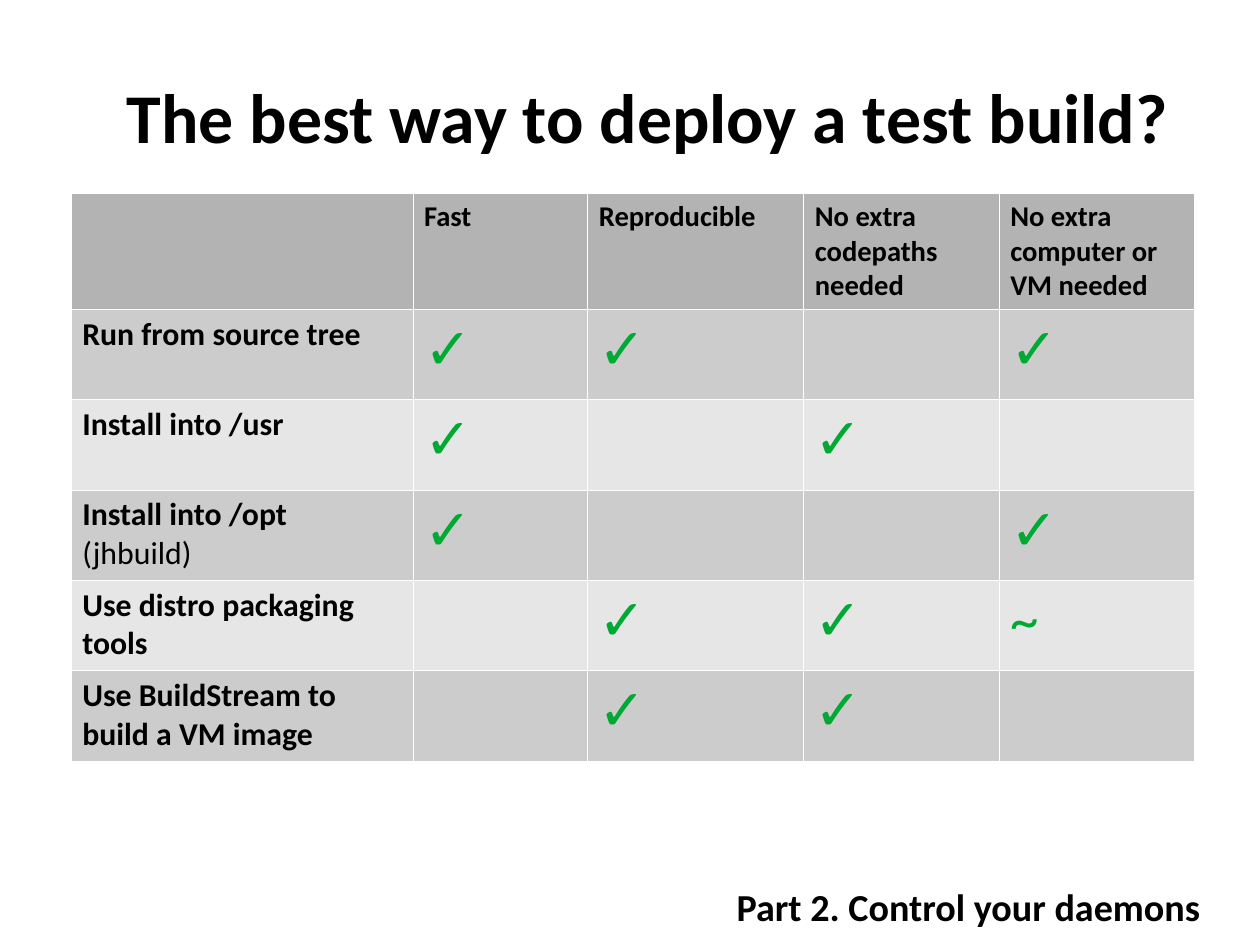
from lxml.etree import SubElement
from pptx import Presentation
from pptx.dml.color import RGBColor
from pptx.enum.text import MSO_ANCHOR, MSO_AUTO_SIZE, PP_ALIGN
from pptx.oxml.ns import qn
from pptx.util import Inches, Pt

BLACK = RGBColor(0x00, 0x00, 0x00)
WHITE = RGBColor(0xFF, 0xFF, 0xFF)
GREEN = RGBColor(0x00, 0xA9, 0x33)
HEADER_GREY = RGBColor(0xB3, 0xB3, 0xB3)
ROW_GREYS = [RGBColor(0xCC, 0xCC, 0xCC), RGBColor(0xE6, 0xE6, 0xE6)]

TITLE = {"size": Pt(44), "bold": True}
HEADING = {"size": Pt(18), "bold": True}
METHOD = {"size": Pt(20), "bold": True}
DETAIL = {"size": Pt(20), "bold": False}
MARK = {"size": Pt(36), "bold": False}
FOOTER = {"size": Pt(24), "bold": True}


def write(paragraph, text, formats, color=BLACK):
    run = paragraph.add_run()
    run.text = text
    run.font.name = "Calibri"
    run.font.color.rgb = color
    for attribute, value in formats.items():
        setattr(run.font, attribute, value)


def paint(cell, color):
    properties = cell._tc.get_or_add_tcPr()
    for side in ("a:lnL", "a:lnR", "a:lnT", "a:lnB"):
        border = SubElement(properties, qn(side), w=str(Pt(0.06)))
        border_fill = SubElement(border, qn("a:solidFill"))
        SubElement(border_fill, qn("a:srgbClr"), val=str(WHITE))
    cell.fill.solid()
    cell.fill.fore_color.rgb = color


presentation = Presentation()
presentation.slide_width = Inches(280 / 25.4)
presentation.slide_height = Inches(210 / 25.4)
presentation.element.sldSz.attrib.pop("type", None)
slide = presentation.slides.add_slide(presentation.slide_layouts[5])

question = slide.shapes.title
question.left, question.top = Inches(0), Inches(0.28)
question.width, question.height = Inches(11.34), Inches(1.47)
question_frame = question.text_frame
question_format = {
    "margin_left": 0, "margin_right": 0, "margin_top": 0, "margin_bottom": 0,
    "vertical_anchor": MSO_ANCHOR.MIDDLE, "auto_size": MSO_AUTO_SIZE.NONE,
    "word_wrap": True,
}
for attribute, value in question_format.items():
    setattr(question_frame, attribute, value)
question_frame.paragraphs[0].alignment = PP_ALIGN.CENTER
write(question_frame.paragraphs[0], "The best way to deploy a test build?", TITLE)

headings = ["", "Fast", "Reproducible", "No extra codepaths needed",
            "No extra computer or VM needed"]
methods = [
    ("Run from source tree", "", ["✓", "✓", "", "✓"]),
    ("Install into /usr", "", ["✓", "", "✓", ""]),
    ("Install into /opt ", "(jhbuild)", ["✓", "", "", "✓"]),
    ("Use distro packaging tools", "", ["", "✓", "✓", "~"]),
    ("Use BuildStream to build a VM image", "", ["", "✓", "✓", ""]),
]
column_widths = [2.99, 1.53, 1.89, 1.71, 1.71]
row_heights = [1.01] + [0.79] * len(methods)

comparison = slide.shapes.add_table(
    len(row_heights), len(column_widths), Inches(0.62), Inches(1.69),
    Inches(sum(column_widths)), Inches(sum(row_heights))).table
for column, width in zip(comparison.columns, column_widths):
    column.width = Inches(width)
for row, height in zip(comparison.rows, row_heights):
    row.height = Inches(height)

for column_index, heading in enumerate(headings):
    heading_cell = comparison.cell(0, column_index)
    paint(heading_cell, HEADER_GREY)
    if heading:
        write(heading_cell.text_frame.paragraphs[0], heading, HEADING)

for row_index, (method, detail, marks) in enumerate(methods, start=1):
    for cell in comparison.rows[row_index].cells:
        paint(cell, ROW_GREYS[(row_index - 1) % 2])
    method_line = comparison.cell(row_index, 0).text_frame.paragraphs[0]
    write(method_line, method, METHOD)
    if detail:
        write(method_line, detail, DETAIL)
    for column_index, mark in enumerate(marks, start=1):
        if mark:
            mark_cell = comparison.cell(row_index, column_index)
            write(mark_cell.text_frame.paragraphs[0], mark, MARK, GREEN)

part_label = slide.shapes.add_textbox(
    Inches(5.83), Inches(7.68), Inches(4.93), Inches(0.43)).text_frame
part_label.word_wrap = True
part_label.margin_right = Inches(0.26)
part_label.paragraphs[0].alignment = PP_ALIGN.RIGHT
write(part_label.paragraphs[0], "Part 2. Control your daemons", FOOTER)

presentation.save("out.pptx")
